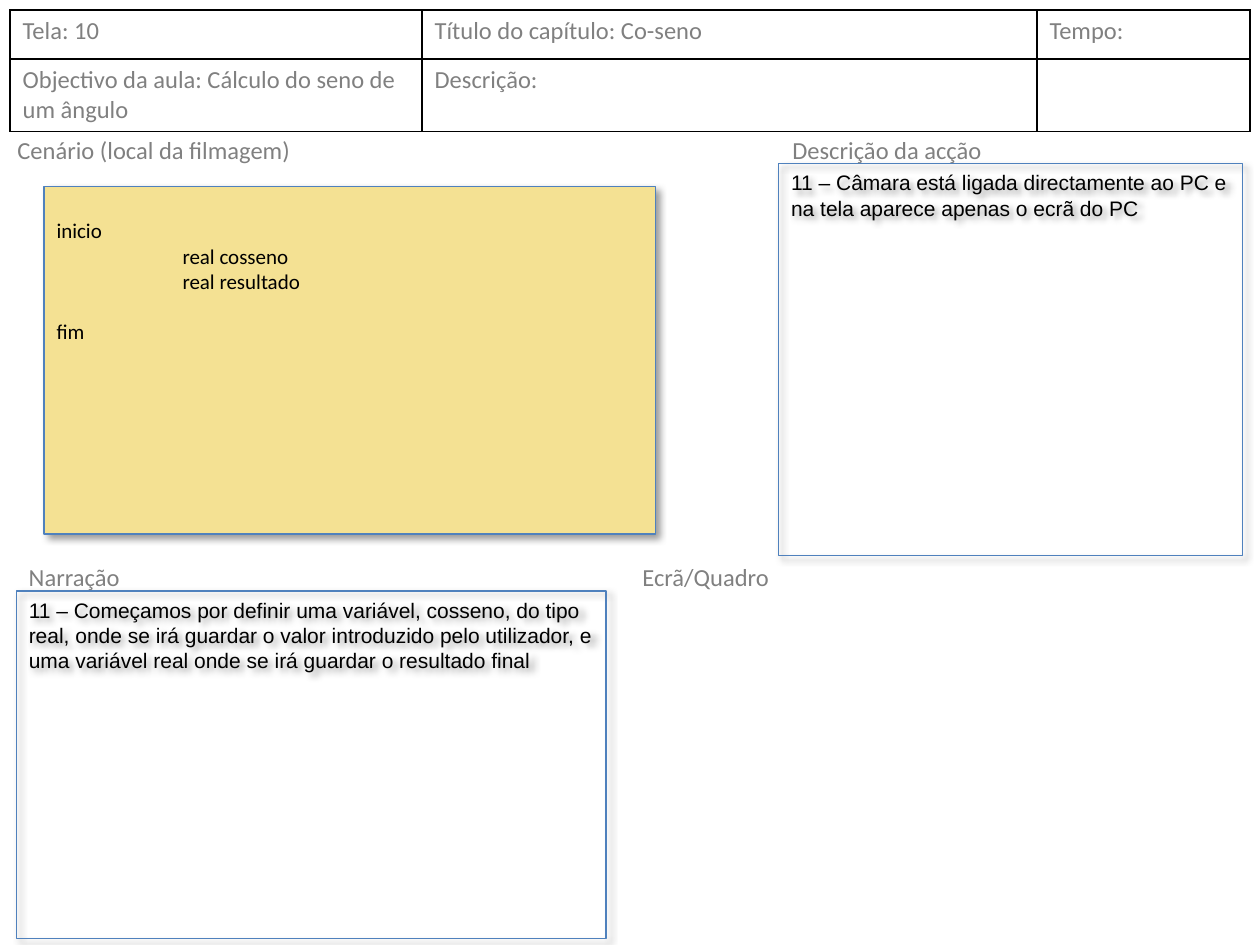
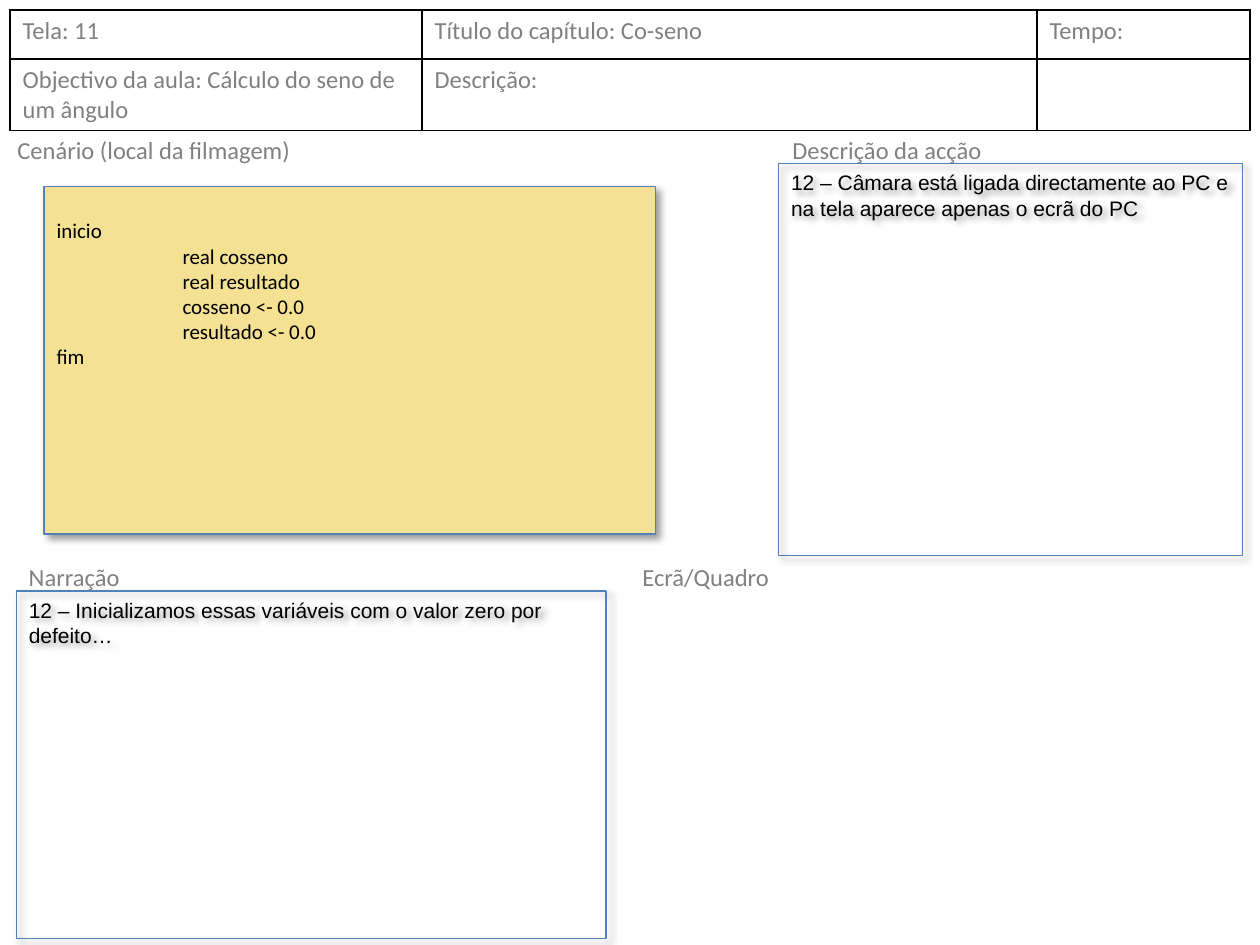
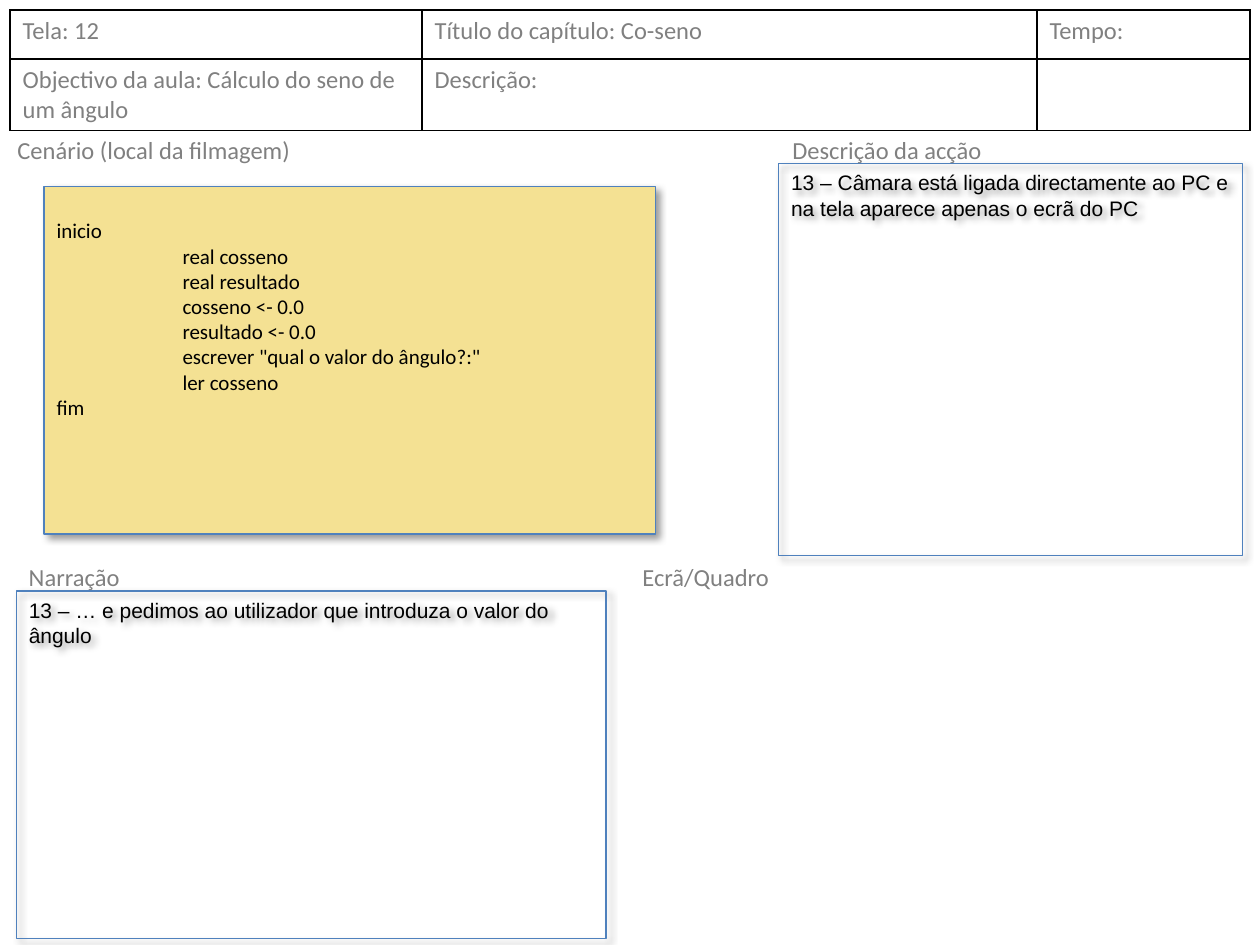
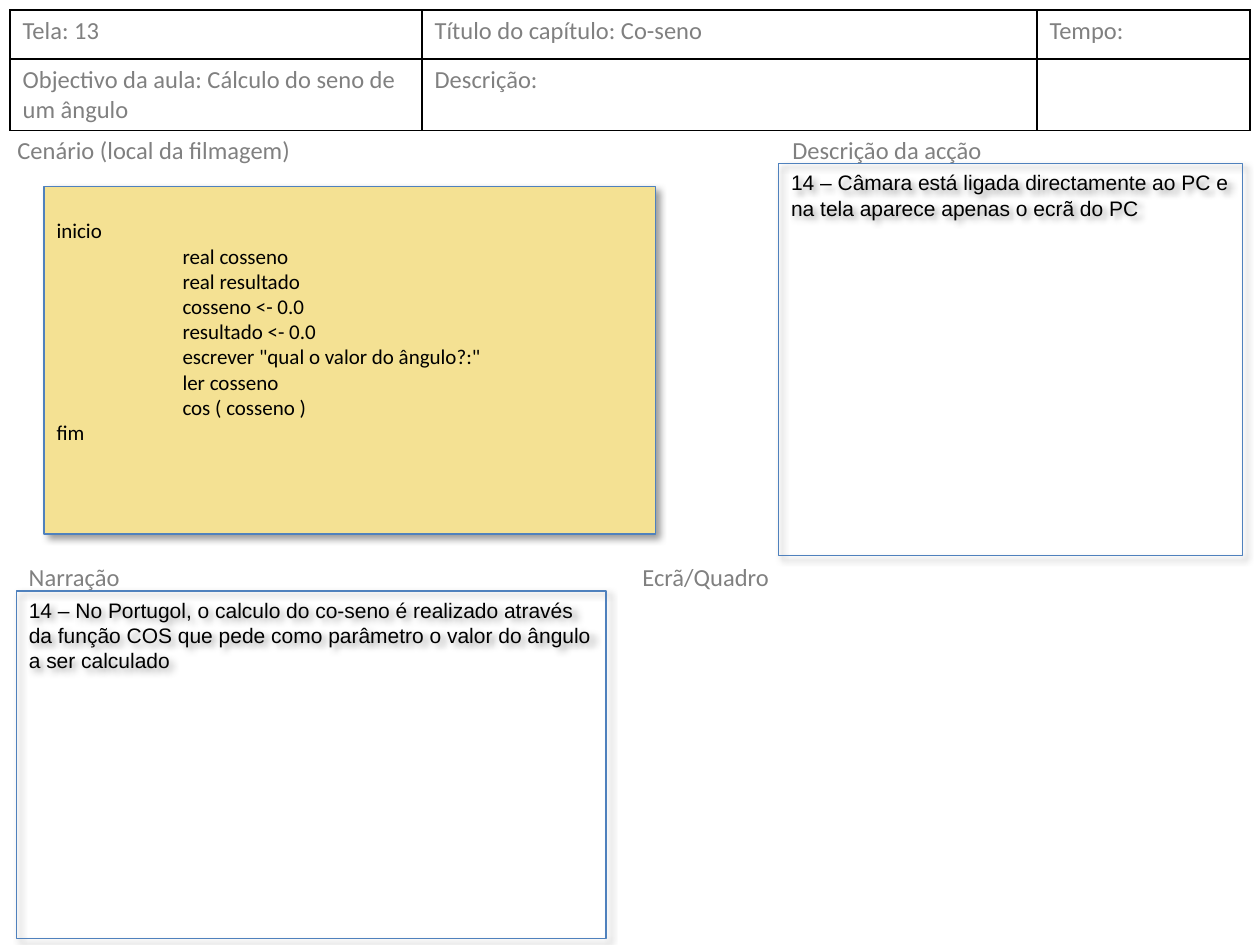
from lxml import etree
from pptx import Presentation
from pptx.dml.color import RGBColor
from pptx.enum.shapes import MSO_SHAPE
from pptx.enum.text import MSO_ANCHOR, MSO_AUTO_SIZE, PP_ALIGN
from pptx.oxml import parse_xml
from pptx.oxml.ns import nsdecls, qn
from pptx.util import Inches, Pt

GRAY = RGBColor(0x80, 0x80, 0x80)
BLACK = RGBColor(0x00, 0x00, 0x00)
BLUE = RGBColor(0x4F, 0x81, 0xBD)
SAND = RGBColor(0xF4, 0xE1, 0x93)
LABEL_FONT = "Calibri"
BODY_FONT = "Arial"
COLUMN_WIDTHS = (3.27, 4.88, 1.69)
ROW_HEIGHT = 0.39
CODE_LINE = 0.2

LABELS = (
    ("Cenário (local da filmagem)", 0.04, 1.02, 4.17),
    ("Narração", 0.13, 4.41, 4.64),
    ("Ecrã/Quadro", 5, 4.41, 4.64),
    ("Descrição da acção", 6.19, 1.02, 2.52),
)
ACTION = "Câmara está ligada directamente ao PC e na tela aparece apenas o ecrã do PC"
STATEMENTS = (
    "real cosseno",
    "real resultado",
    "cosseno <- 0.0",
    "resultado <- 0.0",
    'escrever "qual o valor do ângulo?:"',
    "ler cosseno",
    "cos ( cosseno )",
)
SCREENS = (
    (10, 2, "Começamos por definir uma variável, cosseno, do tipo real, onde se irá "
            "guardar o valor introduzido pelo utilizador, e uma variável real onde se "
            "irá guardar o resultado final"),
    (11, 4, "Inicializamos essas variáveis com o valor zero por defeito…"),
    (12, 6, "… e pedimos ao utilizador que introduza o valor do ângulo"),
    (13, 7, "No Portugol, o calculo do co-seno é realizado através da função COS que "
            "pede como parâmetro o valor do ângulo a ser calculado"),
)


def write(p, text, size, font, color):
    p.text = text
    p.alignment = PP_ALIGN.LEFT
    p.font.size = Pt(size)
    p.font.name = font
    p.font.color.rgb = color


def add_borders(cell):
    tcPr = cell._tc.get_or_add_tcPr()
    for i, side in enumerate(("lnL", "lnR", "lnT", "lnB")):
        tcPr.insert(i, parse_xml(
            f'<a:{side} {nsdecls("a")} w="{Pt(1)}"><a:solidFill>'
            f'<a:srgbClr val="{BLACK}"/></a:solidFill></a:{side}>'))


def add_header(s, screen):
    rows = (
        (f"Tela: {screen}", "Título do capítulo: Co-seno", "Tempo:"),
        ("Objectivo da aula: Cálculo do seno de um ângulo", "Descrição:", ""),
    )
    table = s.shapes.add_table(
        len(rows), len(COLUMN_WIDTHS), Inches(0.08), Inches(0.08),
        Inches(sum(COLUMN_WIDTHS)), Inches(ROW_HEIGHT * len(rows))).table
    table.first_row = table.horz_banding = False
    for column, width in zip(table.columns, COLUMN_WIDTHS):
        column.width = Inches(width)
    for r, texts in enumerate(rows):
        for c, text in enumerate(texts):
            cell = table.cell(r, c)
            cell.fill.background()
            add_borders(cell)
            write(cell.text_frame.paragraphs[0], text, 14, LABEL_FONT, GRAY)


def add_label(s, text, left, top, width):
    tf = s.shapes.add_textbox(
        Inches(left), Inches(top), Inches(width), Inches(0.34)).text_frame
    tf.word_wrap = True
    tf.auto_size = MSO_AUTO_SIZE.SHAPE_TO_FIT_TEXT
    write(tf.paragraphs[0], text, 14, LABEL_FONT, GRAY)


def add_shadow(sp):
    sp.shadow.inherit = False
    effects = sp._element.spPr.find(qn("a:effectLst"))
    shadow = etree.SubElement(
        effects, qn("a:outerShdw"), blurRad=str(Pt(4)), dist=str(Pt(3)),
        dir=str(45 * 60000), algn="tl", rotWithShape="0")
    color = etree.SubElement(shadow, qn("a:srgbClr"), val=str(BLACK))
    etree.SubElement(color, qn("a:alpha"), val="40000")


def add_box(s, left, top, width, height, fill=None):
    sp = s.shapes.add_shape(
        MSO_SHAPE.RECTANGLE, Inches(left), Inches(top), Inches(width), Inches(height))
    if fill is None:
        sp.fill.background()
    else:
        sp.fill.solid()
        sp.fill.fore_color.rgb = fill
    sp.line.color.rgb = BLUE
    sp.line.width = Pt(0.75)
    add_shadow(sp)
    tf = sp.text_frame
    tf.word_wrap = True
    tf.vertical_anchor = MSO_ANCHOR.TOP
    return tf


def add_note(s, text, left, top, width, height):
    tf = add_box(s, left, top, width, height)
    write(tf.paragraphs[0], text, 12, BODY_FONT, BLACK)


def add_code(s, count):
    tf = add_box(s, 0.35, 1.48, 4.85, 2.76, SAND)
    tf.margin_top = Inches(0.05 + CODE_LINE)
    write(tf.paragraphs[0], "inicio", 12, LABEL_FONT, BLACK)
    for statement in STATEMENTS[:count]:
        p = tf.add_paragraph()
        write(p, statement, 12, LABEL_FONT, BLACK)
        p._p.get_or_add_pPr().set("marL", str(Inches(1)))
    p = tf.add_paragraph()
    write(p, "fim", 12, LABEL_FONT, BLACK)
    if count == 2:
        p.space_before = Inches(CODE_LINE)


def add_screen(prs, screen, count, narration):
    s = prs.slides.add_slide(prs.slide_layouts[6])
    step = screen + 1
    add_header(s, screen)
    add_note(s, f"{step} – {narration}", 0.13, 4.69, 4.68, 2.76)
    add_code(s, count)
    add_note(s, f"{step} – {ACTION}", 6.18, 1.3, 3.68, 3.11)
    for label in LABELS:
        add_label(s, *label)


def main():
    prs = Presentation()
    prs.slide_width, prs.slide_height = Inches(10), Inches(7.5)
    for screen in SCREENS:
        add_screen(prs, *screen)
    prs.save("out.pptx")


if __name__ == "__main__":
    main()
